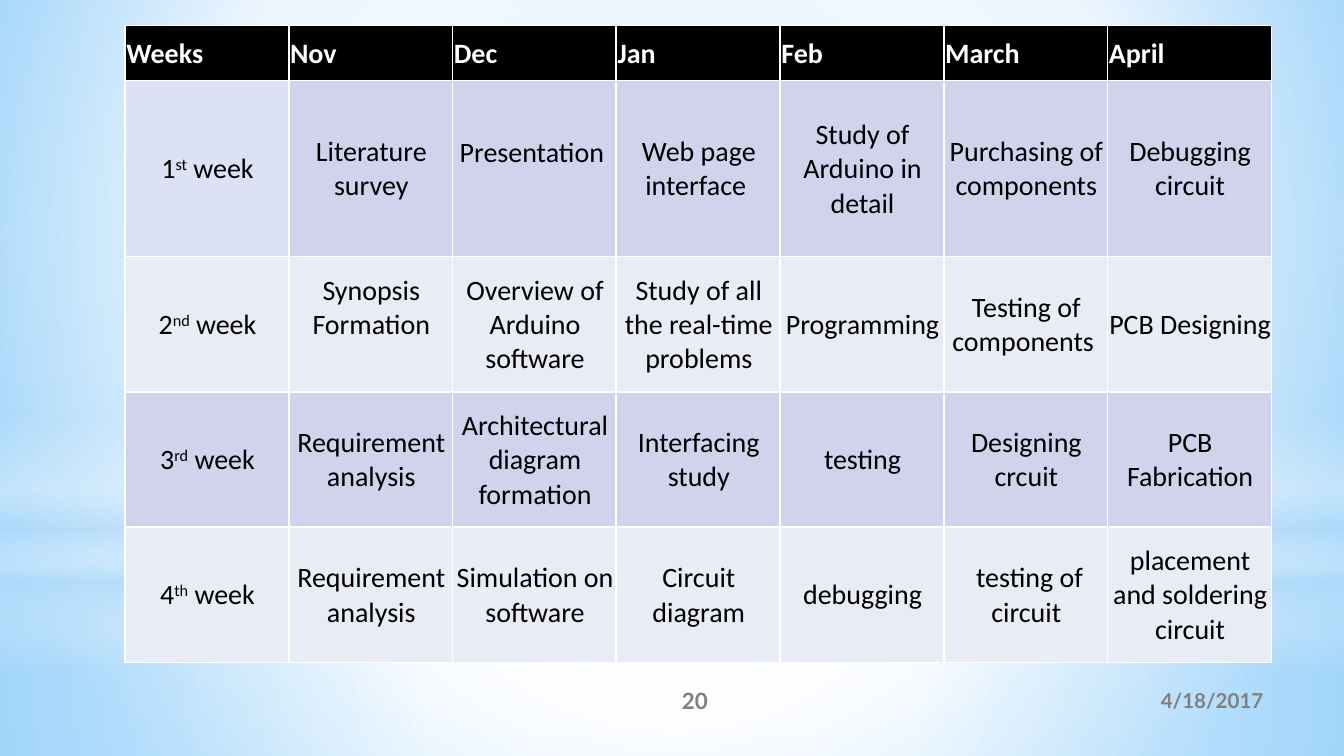
from typing import NamedTuple

from pptx import Presentation
from pptx.dml.color import RGBColor
from pptx.enum.shapes import MSO_SHAPE
from pptx.enum.text import MSO_ANCHOR, PP_ALIGN
from pptx.oxml import parse_xml
from pptx.oxml.ns import nsdecls
from pptx.util import Inches, Pt

RECT, OVAL = MSO_SHAPE.RECTANGLE, MSO_SHAPE.OVAL
MIDDLE = MSO_ANCHOR.MIDDLE
LEFT, CENTER, RIGHT = PP_ALIGN.LEFT, PP_ALIGN.CENTER, PP_ALIGN.RIGHT
WHITE, BLACK, GREY, SKY = "FFFFFF", "000000", "808080", "B4DCFA"
BAND_DARK, BAND_LIGHT, FIRST_WEEK = "D0D3EB", "E9EBF5", "DCE1F4"
SLIDE_WIDTH = 10


class Stop(NamedTuple):
    position: int
    color: str
    opacity: int = 100


class Glow(NamedTuple):
    kind: MSO_SHAPE
    top: float
    height: float
    stops: list[Stop]
    linear: bool = False


class Footer(NamedTuple):
    text: str
    left: float
    width: float
    size: int
    align: PP_ALIGN


GLOWS = [
    Glow(RECT, 4.19, 1.44, [Stop(0, WHITE, 91), Stop(37, WHITE, 76), Stop(100, SKY, 79)]),
    Glow(RECT, 0, 4.19, [Stop(0, WHITE, 89), Stop(48, WHITE, 62), Stop(100, SKY, 79)]),
    Glow(RECT, 3.09, 1.88, [Stop(0, WHITE, 0), Stop(29, WHITE, 30), Stop(45, SKY, 40),
                            Stop(55, WHITE, 26), Stop(65, SKY, 60), Stop(100, WHITE, 0)],
         linear=True),
    Glow(OVAL, 1.31, 4.19, [Stop(0, WHITE), Stop(56, WHITE, 0)]),
]

# Text between carets is superscript
SCHEDULE = [
    ["Weeks", "Nov", "Dec", "Jan", "Feb", "March", "April"],
    ["1^st^ week", "Literature survey", "Presentation ", "Web page interface ",
     "Study of Arduino in detail", "Purchasing of components", "Debugging circuit"],
    ["2^nd^ week", "Synopsis Formation", "Overview of Arduino software",
     "Study of all the real-time problems", "Programming", "Testing of components ",
     "PCB Designing"],
    ["3^rd^ week", "Requirement analysis", "Architectural diagram formation",
     "Interfacing study", "testing", "Designing crcuit", "PCB Fabrication"],
    ["4^th^ week", "Requirement analysis", "Simulation on software", "Circuit diagram",
     "debugging", " testing of circuit", "placement and soldering circuit"],
]
TABLE_WIDTH, TABLE_HEIGHT = 8.53, 4.74
TOP_ROWS = [0.41, 1.31]
LOWER_ROWS = len(SCHEDULE) - len(TOP_ROWS)
ROW_HEIGHTS = TOP_ROWS + [(TABLE_HEIGHT - sum(TOP_ROWS)) / LOWER_ROWS] * LOWER_ROWS
RAISED = {"Presentation ", "Synopsis Formation"}  # sit one half line above the middle

FOOTERS = [
    Footer("4/18/2017", 6.75, 2.75, 11, RIGHT),
    Footer("20", 4.17, 2, 12, CENTER),
]


def rgb(color: str) -> RGBColor:
    return RGBColor.from_string(color)


def set_gradient(properties, stops: list[Stop], direction: str) -> None:
    """Replace the solid fill of a properties element with a gradient."""
    stop_xml = "".join(
        f'<a:gs pos="{s.position * 1000}"><a:srgbClr val="{s.color}">'
        f'<a:alpha val="{s.opacity * 1000}"/></a:srgbClr></a:gs>' for s in stops)
    gradient = parse_xml(f'<a:gradFill {nsdecls("a")} rotWithShape="1">'
                         f"<a:gsLst>{stop_xml}</a:gsLst>{direction}</a:gradFill>")
    solid = properties.xpath("./a:solidFill")[0]
    properties.replace(solid, gradient)


def circle_to(left: int, top: int, right: int, bottom: int) -> str:
    return (f'<a:path path="circle"><a:fillToRect l="{left * 1000}" t="{top * 1000}" '
            f'r="{right * 1000}" b="{bottom * 1000}"/></a:path>')


def write(frame, text: str, *, size: int, font: str, color: str,
          bold: bool = False, align: PP_ALIGN = LEFT) -> None:
    frame.word_wrap = True
    paragraph = frame.paragraphs[0]
    paragraph.alignment = align
    for index, part in enumerate(text.split("^")):
        run = paragraph.add_run()
        run.text = part
        run.font.size, run.font.name, run.font.bold = Pt(size), font, bold
        run.font.color.rgb = rgb(color)
        if index % 2:
            run.font._element.set("baseline", "30000")


def draw_glow(slide, glow: Glow) -> None:
    shape = slide.shapes.add_shape(glow.kind, 0, Inches(glow.top),
                                   Inches(SLIDE_WIDTH), Inches(glow.height))
    shape.shadow.inherit = False
    shape.line.fill.background()
    shape.fill.solid()
    direction = '<a:lin ang="5400000" scaled="0"/>' if glow.linear else circle_to(50, 50, 50, 50)
    set_gradient(shape._element.spPr, glow.stops, direction)


def set_borders(cell) -> None:
    properties = cell._tc.get_or_add_tcPr()
    for index, side in enumerate(("lnL", "lnR", "lnT", "lnB")):
        properties.insert(index, parse_xml(
            f'<a:{side} {nsdecls("a")} w="{Pt(1)}"><a:solidFill>'
            f'<a:srgbClr val="{WHITE}"/></a:solidFill></a:{side}>'))


def cell_fill(row: int, column: int) -> str:
    if row == 0:
        return BLACK
    if (row, column) == (1, 0):
        return FIRST_WEEK
    return BAND_DARK if row % 2 else BAND_LIGHT


def draw_schedule(slide) -> None:
    columns = len(SCHEDULE[0])
    table = slide.shapes.add_table(len(SCHEDULE), columns, Inches(0.93), Inches(0.19),
                                   Inches(TABLE_WIDTH), Inches(TABLE_HEIGHT)).table
    for column in table.columns:
        column.width = Inches(TABLE_WIDTH / columns)
    for row, texts in enumerate(SCHEDULE):
        table.rows[row].height = Inches(ROW_HEIGHTS[row])
        header = row == 0
        for column, text in enumerate(texts):
            cell = table.cell(row, column)
            cell.vertical_anchor = MIDDLE
            cell.margin_left = cell.margin_top = Inches(0.01)
            cell.margin_right = Inches(0)
            cell.margin_bottom = Inches(0.25 if text in RAISED else 0)
            cell.fill.solid()
            cell.fill.fore_color.rgb = rgb(cell_fill(row, column))
            set_borders(cell)
            write(cell.text_frame, text, size=15, font="Calibri", bold=header,
                  color=WHITE if header else BLACK, align=LEFT if header else CENTER)


def draw_footer(slide, footer: Footer) -> None:
    box = slide.shapes.add_textbox(Inches(footer.left), Inches(5.06),
                                   Inches(footer.width), Inches(0.3))
    box.text_frame.vertical_anchor = MIDDLE
    write(box.text_frame, footer.text, size=footer.size, font="Lato",
          color=GREY, bold=True, align=footer.align)


def main() -> None:
    deck = Presentation()
    deck.slide_width, deck.slide_height = Inches(SLIDE_WIDTH), Inches(SLIDE_WIDTH * 9 / 16)
    slide = deck.slides.add_slide(deck.slide_layouts[6])

    # Sky background
    slide.background.fill.solid()
    set_gradient(slide._element.xpath("./p:cSld/p:bg/p:bgPr")[0],
                 [Stop(0, "9ED5FF"), Stop(60, WHITE), Stop(100, "5BB9FF")],
                 circle_to(20, 10, 20, 60))
    for glow in GLOWS:
        draw_glow(slide, glow)

    # Project schedule
    draw_schedule(slide)

    # Date and page number
    for footer in FOOTERS:
        draw_footer(slide, footer)

    deck.save("out.pptx")


if __name__ == "__main__":
    main()
